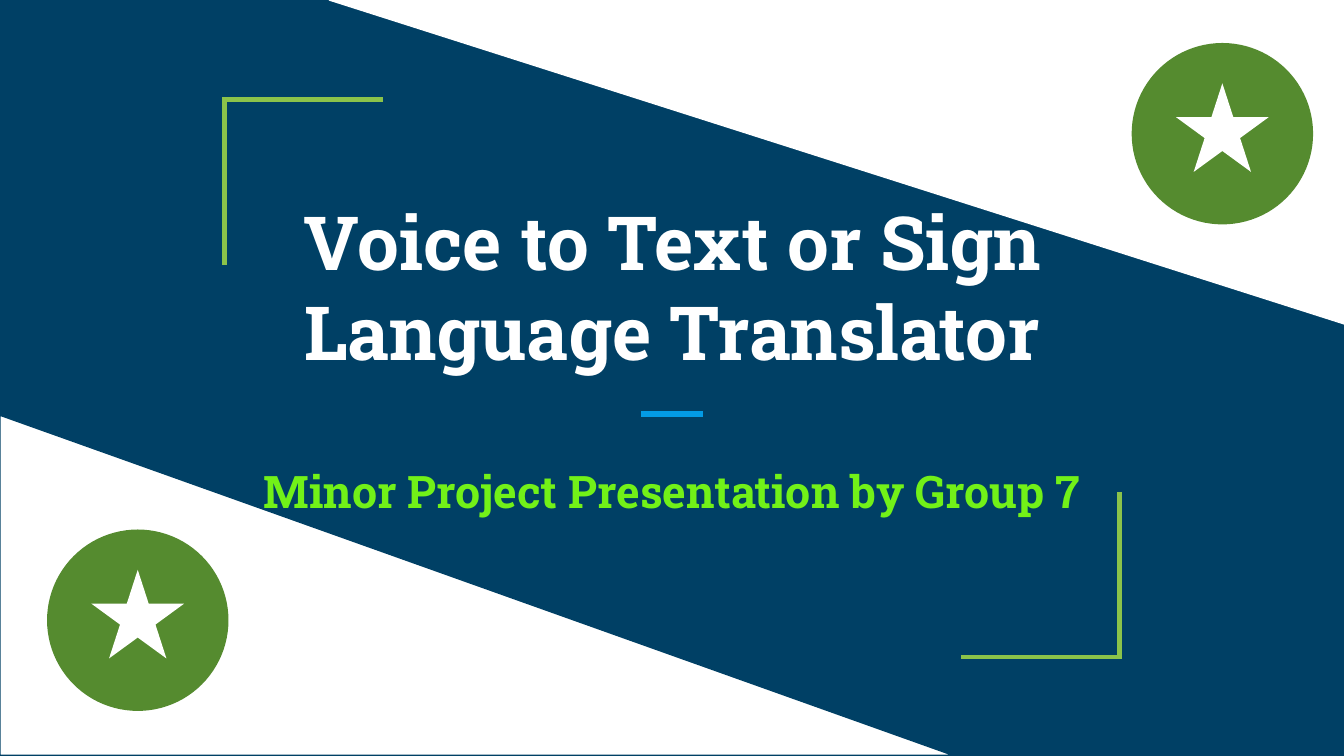
from dataclasses import dataclass
from typing import NamedTuple

from lxml.etree import SubElement
from pptx import Presentation
from pptx.dml.color import RGBColor as RGB
from pptx.enum.shapes import MSO_CONNECTOR as CONN, MSO_SHAPE as SHAPE
from pptx.enum.text import MSO_ANCHOR as ANCHOR, MSO_AUTO_SIZE as AUTO, PP_ALIGN as ALIGN
from pptx.oxml.ns import qn
from pptx.util import Inches, Pt


@dataclass(frozen=True)
class Theme:
    font: str = "Roboto Slab"
    navy: RGB = RGB.from_string("004065")
    white: RGB = RGB.from_string("FFFFFF")
    lime: RGB = RGB.from_string("8BC34A")
    blue: RGB = RGB.from_string("039BE5")
    green: RGB = RGB.from_string("558B2F")
    neon: RGB = RGB.from_string("72F118")
    title_size: Pt = Pt(40)
    subtitle_size: Pt = Pt(24)
    bracket_line: Pt = Pt(2.25)
    accent_line: Pt = Pt(3)
    edge_line: Pt = Pt(0.75)


class Box(NamedTuple):
    left: float
    top: float
    width: float
    height: float

    def emu(self) -> list:
        return [Inches(v) for v in self]


class Corner(NamedTuple):
    x: float
    y: float
    direction: int


class Wedge(NamedTuple):
    box: Box
    rotation: int
    line: RGB


class Badge(NamedTuple):
    left: float
    top: float


T = Theme()
CORNERS = [Corner(1.67, 0.74, 1), Corner(8.33, 4.89, -1)]
WEDGES = [
    Wedge(Box(0, 3.09, 7.09, 2.53), 0, T.navy),
    Wedge(Box(2.45, 0, 7.55, 2.41), 180, T.white),
]
BADGES = [Badge(0.35, 3.94), Badge(8.42, 0.32)]


def set_line(sp, color: RGB, width: Pt) -> None:
    sp.line.color.rgb = color
    sp.line.width = width


def add_corner(s, corner: Corner) -> None:
    x, y, d = corner
    points = [(x, y + 1.23 * d), (x, y), (x + 1.18 * d, y)]
    start, *rest = [(Inches(px), Inches(py)) for px, py in points]
    builder = s.shapes.build_freeform(*start)
    builder.add_line_segments(rest, close=False)
    sp = builder.convert_to_shape()
    sp.shadow.inherit = False
    sp.fill.background()
    set_line(sp, T.lime, T.bracket_line)
    SubElement(sp._element.spPr.find(qn("a:ln")), qn("a:miter"), lim="800000")


def add_accent(s) -> None:
    y = Inches(3.08)
    sp = s.shapes.add_connector(CONN.STRAIGHT, Inches(4.77), y, Inches(5.23), y)
    set_line(sp, T.blue, T.accent_line)
    SubElement(sp._element.spPr, qn("a:effectLst"))


def add_solid(shapes, kind: SHAPE, box: Box, color: RGB):
    sp = shapes.add_shape(kind, *box.emu())
    sp.shadow.inherit = False
    sp.fill.solid()
    sp.fill.fore_color.rgb = color
    sp.line.fill.background()
    return sp


def add_wedge(s, wedge: Wedge) -> None:
    sp = add_solid(s.shapes, SHAPE.RIGHT_TRIANGLE, wedge.box, T.white)
    sp.rotation = wedge.rotation
    set_line(sp, wedge.line, T.edge_line)


def add_badge(s, badge: Badge) -> None:
    x, y = badge
    shapes = s.shapes.add_group_shape().shapes
    add_solid(shapes, SHAPE.OVAL, Box(x, y, 1.35, 1.35), T.green)
    add_solid(shapes, SHAPE.STAR_5_POINT, Box(x + 0.33, y + 0.3, 0.69, 0.66), T.white)


def set_text(sp, box: Box, text: str, size: Pt, color: RGB, anchor: ANCHOR) -> None:
    sp.left, sp.top, sp.width, sp.height = box.emu()
    tf = sp.text_frame
    frame = {"word_wrap": True, "auto_size": AUTO.NONE, "vertical_anchor": anchor}
    frame |= {f"margin_{side}": Inches(0.1) for side in ("left", "top", "right", "bottom")}
    for name, value in frame.items():
        setattr(tf, name, value)
    p = tf.paragraphs[0]
    p.alignment = ALIGN.CENTER
    r = p.add_run()
    r.text = text
    for name, value in {"name": T.font, "size": size, "bold": True}.items():
        setattr(r.font, name, value)
    r.font.color.rgb = color


def main() -> None:
    prs = Presentation()
    prs.slide_width = Inches(10)
    prs.slide_height = prs.slide_width * 9 // 16
    s = prs.slides.add_slide(prs.slide_layouts[5])
    s.background.fill.solid()
    s.background.fill.fore_color.rgb = T.navy

    for corner in CORNERS:
        add_corner(s, corner)
    add_accent(s)
    set_text(s.shapes.title, Box(1.84, 1.3, 6.32, 1.59),
             "Voice to Text or Sign Language Translator", T.title_size, T.white, ANCHOR.BOTTOM)
    box = Box(1.84, 3.35, 6.32, 0.99)
    set_text(s.shapes.add_textbox(*box.emu()), box,
             "Minor Project Presentation by Group 7", T.subtitle_size, T.neon, ANCHOR.TOP)
    for wedge in WEDGES:
        add_wedge(s, wedge)
    for badge in BADGES:
        add_badge(s, badge)

    prs.save("out.pptx")


if __name__ == "__main__":
    main()
